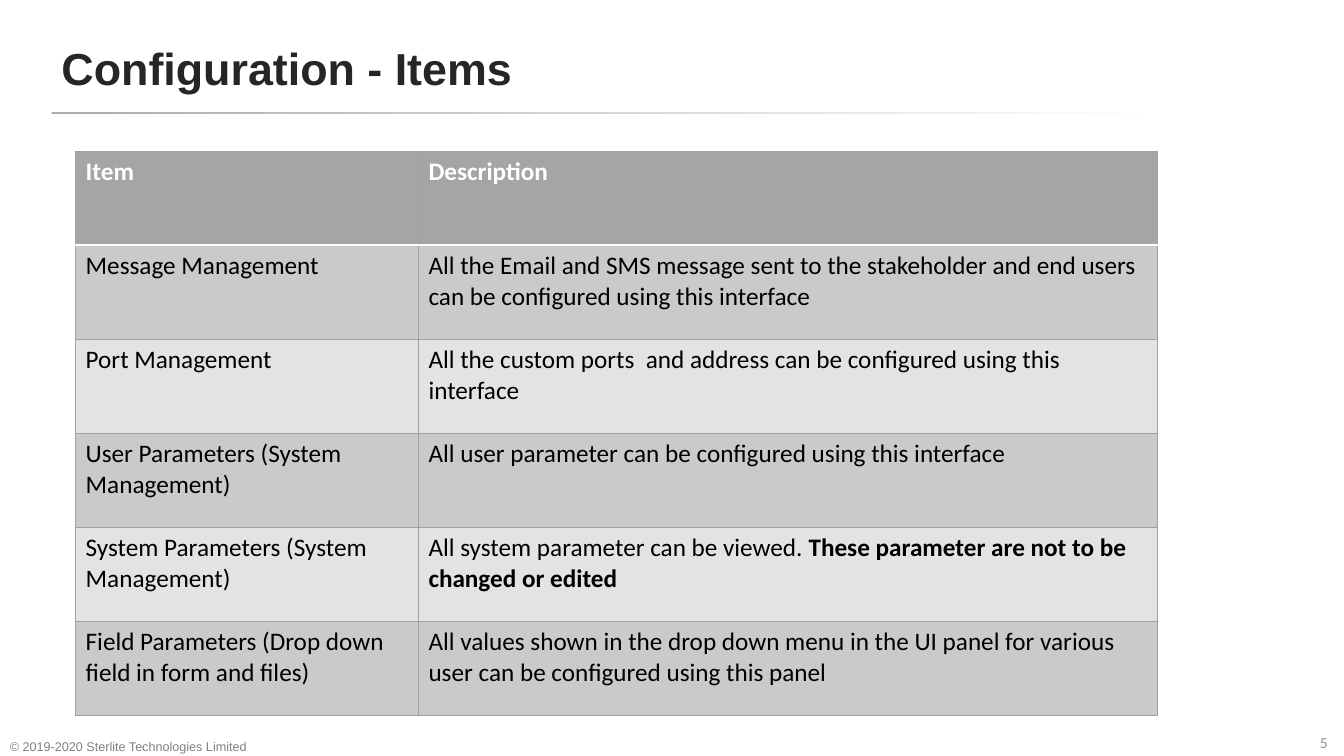
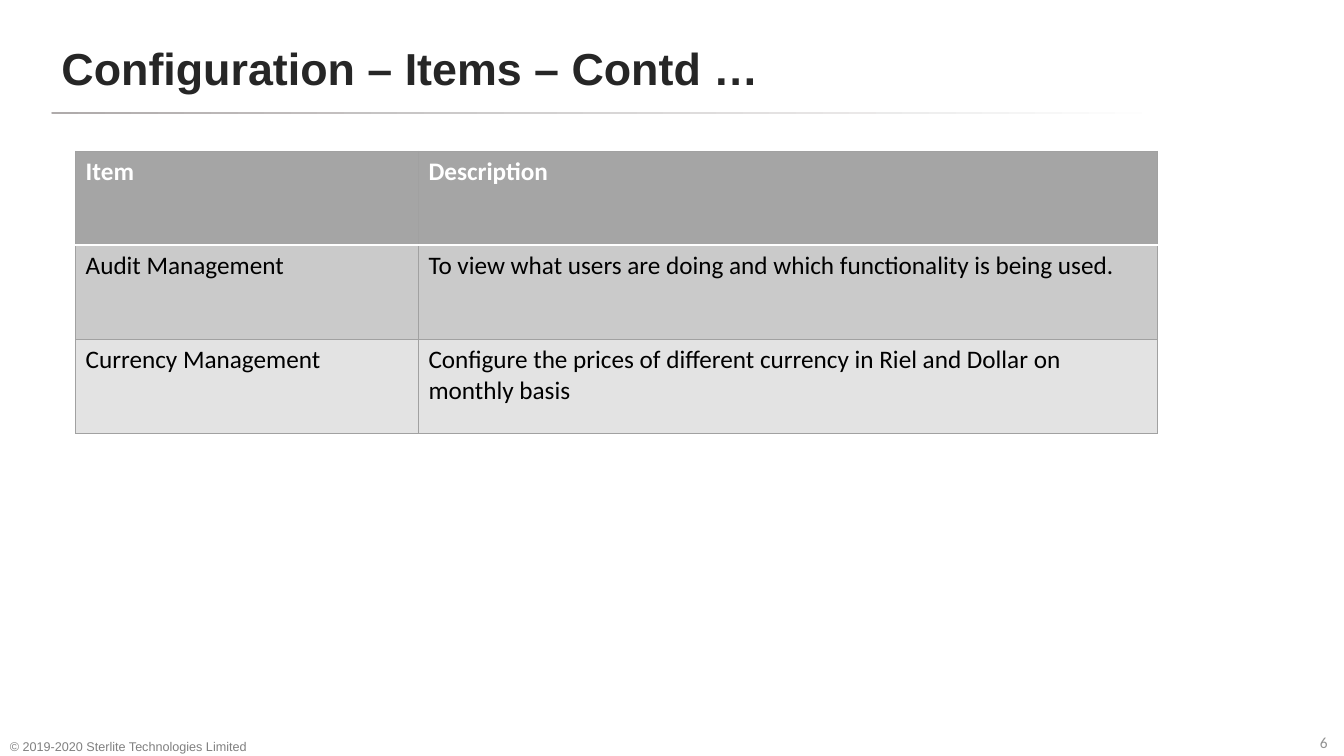
import pptx
import pptx.util
import pptx.dml.color
import pptx.enum.shapes
import pptx.enum.text
import pptx.oxml
import pptx.oxml.ns
from lxml import etree

Inches = pptx.util.Inches
Pt = pptx.util.Pt
ANCHOR = pptx.enum.text.MSO_ANCHOR
ALIGN = pptx.enum.text.PP_ALIGN

COLORS = {
    "title": "262626",
    "rule": "AFABAB",
    "white": "FFFFFF",
    "text": "000000",
    "number": "929292",
    "copyright": "808080",
    "header": "A5A5A5",
    "dark_row": "CACACA",
    "light_row": "E3E3E3",
    "border": "A1A1A1",
}


def rgb(name):
    return pptx.dml.color.RGBColor.from_string(COLORS[name])


class Deck:
    def __init__(self):
        self.prs = pptx.Presentation()
        self.prs.slide_width = Inches(13.33)
        self.prs.slide_height = Inches(7.5)
        self.s = None

    def slide(self, title, number):
        self.s = self.prs.slides.add_slide(self.prs.slide_layouts[5])
        self.rule()
        self.title(title)
        self.label(number, 13.04, 7.22, 0.27, 0.25, 11, "Calibri", "number", 0.05, ANCHOR.TOP, False)
        self.label("© 2019-2020 Sterlite Technologies Limited",
                   0, 7.22, 3.03, 0.31, 9, "Arial", "copyright")

    def font(self, r, size, name, color, bold=False):
        r.font.size = Pt(size)
        r.font.name = name
        r.font.bold = bold
        r.font.color.rgb = rgb(color)

    def rule(self):
        sp = self.s.shapes.add_shape(pptx.enum.shapes.MSO_SHAPE.ROUNDED_RECTANGLE,
                                     Inches(0.51), Inches(1.11), Inches(12.31), Inches(0.02))
        sp.adjustments[0] = 0.5
        sp.shadow.inherit = False
        sp.line.fill.background()
        sp.fill.gradient()
        sp.fill.gradient_angle = 0
        start, end = sp.fill.gradient_stops
        start.color.rgb = rgb("rule")
        end.color.rgb = rgb("white")
        end.position = 0.9

    def title(self, text):
        sp = self.s.shapes.title
        sp.left, sp.top, sp.width, sp.height = map(Inches, (0.51, 0.23, 9.92, 0.88))
        tf = sp.text_frame
        tf.text = text
        tf.vertical_anchor = ANCHOR.MIDDLE
        p = tf.paragraphs[0]
        p.alignment = ALIGN.LEFT
        self.font(p.runs[0], 32, "Arial", "title", True)

    def label(self, text, x, y, w, h, size, name, color, inset=None, anchor=ANCHOR.BOTTOM, wrap=True):
        tf = self.s.shapes.add_textbox(Inches(x), Inches(y), Inches(w), Inches(h)).text_frame
        tf.text = text
        tf.word_wrap = wrap
        tf.vertical_anchor = anchor
        if inset is not None:
            tf.margin_left = tf.margin_right = tf.margin_top = tf.margin_bottom = Inches(inset)
        self.font(tf.paragraphs[0].runs[0], size, name, color)

    def border(self, cell, side, color, width):
        tc_pr = cell._tc.get_or_add_tcPr()
        ln = etree.SubElement(tc_pr, pptx.oxml.ns.qn(f"a:{side}"), w=str(Pt(width)))
        fill = etree.SubElement(ln, pptx.oxml.ns.qn("a:solidFill"))
        etree.SubElement(fill, pptx.oxml.ns.qn("a:srgbClr"), val=COLORS[color])

    def cell(self, cell, parts, row):
        header = row == 0
        for side in ("lnL", "lnR", "lnT", "lnB"):
            under_header = (row, side) in ((0, "lnB"), (1, "lnT"))
            self.border(cell, side, *(("white", 2) if under_header else ("border", 0.75)))
        cell.fill.solid()
        cell.fill.fore_color.rgb = rgb("header" if header else "dark_row" if row % 2 else "light_row")
        p = cell.text_frame.paragraphs[0]
        for i, text in enumerate(parts):
            r = p.add_run()
            r.text = text
            self.font(r, 18, "Calibri", "white" if header else "text", header or i > 0)

    def table(self, items):
        rows = [("Item", "Description"), *items]
        widths = (3.4, 7.33)
        row_height = 2.8 / 3
        tbl = self.s.shapes.add_table(len(rows), len(widths), Inches(0.75), Inches(1.5),
                                      Inches(sum(widths)), Inches(row_height * len(rows))).table
        for column, width in zip(tbl.columns, widths):
            column.width = Inches(width)
        for i, (item, *description) in enumerate(rows):
            tbl.rows[i].height = Inches(row_height)
            self.cell(tbl.cell(i, 0), [item], i)
            self.cell(tbl.cell(i, 1), description, i)


def main():
    deck = Deck()
    deck.slide("Configuration - Items", "5")
    deck.table([
        ("Message Management",
         "All the Email and SMS message sent to the stakeholder and end users "
         "can be configured using this interface"),
        ("Port Management",
         "All the custom ports  and address can be configured using this interface"),
        ("User Parameters (System Management)",
         "All user parameter can be configured using this interface"),
        ("System Parameters (System Management)",
         "All system parameter can be viewed. ",
         "These parameter are not to be changed or edited"),
        ("Field Parameters (Drop down field in form and files)",
         "All values shown in the drop down menu in the UI panel for various "
         "user can be configured using this panel"),
    ])
    deck.slide("Configuration – Items – Contd …", "6")
    deck.table([
        ("Audit Management",
         "To view what users are doing and which functionality is being used."),
        ("Currency Management",
         "Configure the prices of different currency in Riel and Dollar on monthly basis"),
    ])
    deck.prs.save("out.pptx")


if __name__ == "__main__":
    main()
